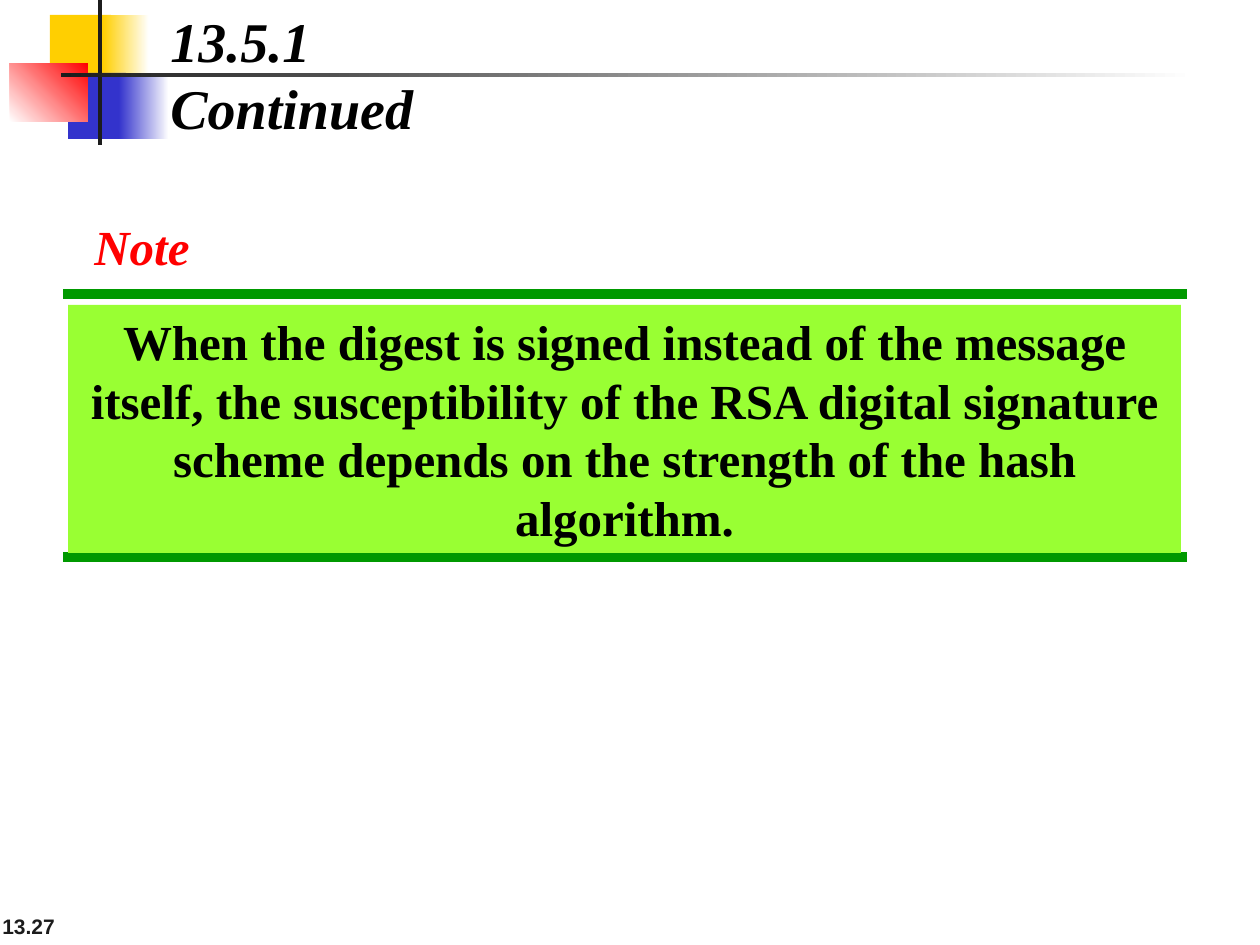
from typing import NamedTuple, Optional

from lxml.etree import SubElement
from pptx import Presentation
from pptx.dml.color import RGBColor
from pptx.enum.shapes import MSO_CONNECTOR as Connector, MSO_SHAPE as Shape
from pptx.enum.text import MSO_ANCHOR as Anchor, PP_ALIGN as Align
from pptx.oxml.ns import qn
from pptx.util import Emu, Pt

PX_PER_INCH = 126
SERIF = "Times New Roman"
DARK, GREEN = "1C1C1C", "009900"


class Block(NamedTuple):
    left: int
    top: int
    width: int
    height: int
    color: str
    fade_to: Optional[str] = None
    angle: int = 0


class Rule(NamedTuple):
    left: int
    right: int
    y: int


LOGO_BLOCKS = [
    Block(50, 15, 61, 66, "FFCF01"),
    Block(103, 15, 46, 66, "FFCF01", "FFFFFF"),
    Block(68, 73, 58, 66, "3333CC"),
    Block(119, 73, 50, 66, "3333CC", "FFFFFF"),
    Block(10, 63, 78, 59, "FFFFFF", "FF0000", 45),
    Block(98, 0, 4, 145, DARK),
    Block(61, 73, 1134, 4, DARK, "FFFFFF"),
]
NOTE_RULES = [Rule(63, 1187, 294), Rule(63, 1187, 557)]
NOTE_BLOCK = Block(68, 305, 1113, 248, "99FF33")


def px(length: int) -> Emu:
    return Emu(round(length * 914400 / PX_PER_INCH))


def rgb(color: str) -> RGBColor:
    return RGBColor.from_string(color)


def draw_block(slide, block: Block):
    shape = slide.shapes.add_shape(Shape.RECTANGLE, *map(px, block[:4]))
    shape.shadow.inherit = False
    shape.line.fill.background()
    if block.fade_to:
        shape.fill.gradient()
        shape.fill.gradient_angle = block.angle
        for stop, color in zip(shape.fill.gradient_stops, (block.color, block.fade_to)):
            stop.color.rgb = rgb(color)
    else:
        shape.fill.solid()
        shape.fill.fore_color.rgb = rgb(block.color)
    return shape


def draw_rule(slide, rule: Rule) -> None:
    line = slide.shapes.add_connector(
        Connector.STRAIGHT, px(rule.left), px(rule.y), px(rule.right), px(rule.y))
    line.line.color.rgb = rgb(GREEN)
    line.line.width = Pt(6)
    SubElement(line._element.spPr, qn("a:effectLst"))


def write(shape, text: str, *, size: int, font: str = SERIF, color: str = "000000",
          italic: bool = False, align=Align.LEFT, anchor=Anchor.TOP, wrap: bool = True) -> None:
    frame = shape.text_frame
    frame.word_wrap = wrap
    frame.vertical_anchor = anchor
    paragraph = frame.paragraphs[0]
    paragraph.alignment = align
    for index, text_line in enumerate(text.split("\n")):
        if index:
            paragraph.add_line_break()
        run = paragraph.add_run()
        run.text = text_line
        run.font.name = font
        run.font.size = Pt(size)
        run.font.bold = True
        run.font.italic = italic
        run.font.color.rgb = rgb(color)


def add_text(slide, left: int, top: int, width: int, height: int, text: str, **style) -> None:
    box = slide.shapes.add_textbox(px(left), px(top), px(width), px(height))
    write(box, text, **style)


def main() -> None:
    presentation = Presentation()
    presentation.slide_width, presentation.slide_height = px(1260), px(945)
    slide = presentation.slides.add_slide(presentation.slide_layouts[6])

    # Slide number
    add_text(slide, -10, 882, 262, 63, "13.27", size=12, font="Arial", color=DARK,
             anchor=Anchor.BOTTOM)

    # Corner decoration and title
    for block in LOGO_BLOCKS:
        draw_block(slide, block)
    add_text(slide, 158, 0, 436, 79, "13.5.1\nContinued", size=32, italic=True)

    # Note between two green rules
    for rule in NOTE_RULES:
        draw_rule(slide, rule)
    write(draw_block(slide, NOTE_BLOCK),
          "When the digest is signed instead of the message itself, the susceptibility of "
          "the RSA digital signature scheme depends on the strength of the hash algorithm.",
          size=28, align=Align.CENTER)
    add_text(slide, 82, 210, 121, 72, "Note", size=28, color="FF0000", italic=True, wrap=False)

    presentation.save("out.pptx")


if __name__ == "__main__":
    main()
